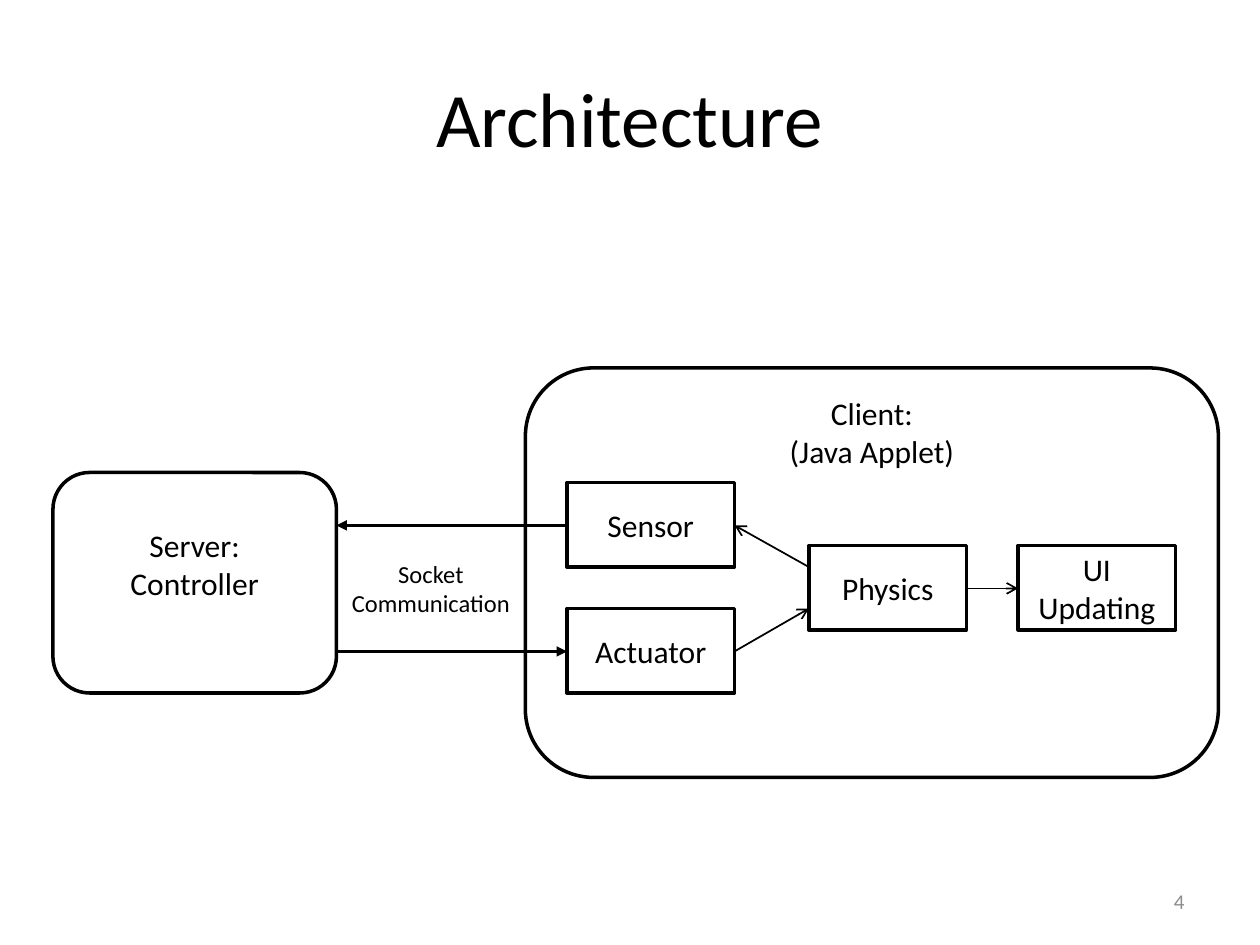
from lxml import etree
from pptx import Presentation
from pptx.dml.color import RGBColor
from pptx.enum.shapes import MSO_CONNECTOR, MSO_SHAPE
from pptx.enum.text import MSO_ANCHOR, PP_ALIGN
from pptx.oxml.ns import qn
from pptx.util import Inches, Pt

BLACK = RGBColor(0, 0, 0)
GRAY = RGBColor(0x8C, 0x8C, 0x8C)
FONT = "Calibri"
ROUND, RECT = MSO_SHAPE.ROUNDED_RECTANGLE, MSO_SHAPE.RECTANGLE
TOP, MIDDLE = MSO_ANCHOR.TOP, MSO_ANCHOR.MIDDLE
CENTER, RIGHT = PP_ALIGN.CENTER, PP_ALIGN.RIGHT
STRAIGHT = MSO_CONNECTOR.STRAIGHT

# lines, (left, top, width, height), size, align, color
LABELS = [
    (["Architecture"], (0.5, 0.3, 9, 1.25), 44, CENTER, BLACK),
    (["Socket", "Communication"], (2.67, 4.42, 1.5, 0.5), 14, CENTER, BLACK),
    (["4"], (7.17, 6.95, 2.33, 0.4), 12, RIGHT, GRAY),
]
# lines, shape, (left, top, width, height), anchor, bottom inset
BOXES = [
    (["Server:", "Controller"], ROUND, (0.42, 3.75, 2.25, 1.75), MIDDLE, 0.35),
    (["Client:", "(Java Applet)"], ROUND, (4.17, 2.92, 5.5, 3.25), TOP, 0.05),
    (["Sensor"], RECT, (4.5, 3.83, 1.33, 0.67), MIDDLE, 0.05),
    (["Actuator"], RECT, (4.5, 4.83, 1.33, 0.67), MIDDLE, 0.05),
    (["Physics"], RECT, (6.42, 4.33, 1.25, 0.67), MIDDLE, 0.05),
    (["UI", "Updating"], RECT, (8.08, 4.33, 1.25, 0.67), MIDDLE, 0.05),
]
# start, end, width, head
ARROWS = [
    ((4.5, 4.17), (2.67, 4.17), 1.5, "triangle"),
    ((2.67, 5.17), (4.5, 5.17), 1.5, "triangle"),
    ((6.42, 4.5), (5.83, 4.17), 1, "arrow"),
    ((5.83, 5.17), (6.42, 4.83), 1, "arrow"),
    ((7.67, 4.67), (8.08, 4.67), 1, "arrow"),
]


def write(shape, lines, size=18, align=CENTER, color=BLACK, anchor=MIDDLE):
    """Put one paragraph per line into a shape."""
    frame = shape.text_frame
    frame.word_wrap = True
    frame.vertical_anchor = anchor
    frame.text = "\n".join(lines)
    for para in frame.paragraphs:
        para.alignment = align
        para.font.name = FONT
        para.font.size = Pt(size)
        para.font.color.rgb = color


def add_box(shapes, lines, kind, place, anchor, inset):
    """Draw an outlined box with its text."""
    box = shapes.add_shape(kind, *map(Inches, place))
    box.shadow.inherit = False
    box.fill.background()
    box.line.color.rgb = BLACK
    box.line.width = Pt(2)
    write(box, lines, anchor=anchor)
    box.text_frame.margin_bottom = Inches(inset)


def add_arrow(shapes, start, end, width, head):
    """Draw a straight line with a head at its end."""
    arrow = shapes.add_connector(STRAIGHT, *map(Inches, start + end))
    arrow.line.color.rgb = BLACK
    arrow.line.width = Pt(width)
    etree.SubElement(arrow.line._get_or_add_ln(), qn("a:tailEnd"), type=head)
    etree.SubElement(arrow._element.spPr, qn("a:effectLst"))


deck = Presentation()
deck.slide_width, deck.slide_height = Inches(10), Inches(7.5)
shapes = deck.slides.add_slide(deck.slide_layouts[6]).shapes
for box in BOXES:
    add_box(shapes, *box)
for arrow in ARROWS:
    add_arrow(shapes, *arrow)
for lines, place, *style in LABELS:
    write(shapes.add_textbox(*map(Inches, place)), lines, *style)
deck.save("out.pptx")
